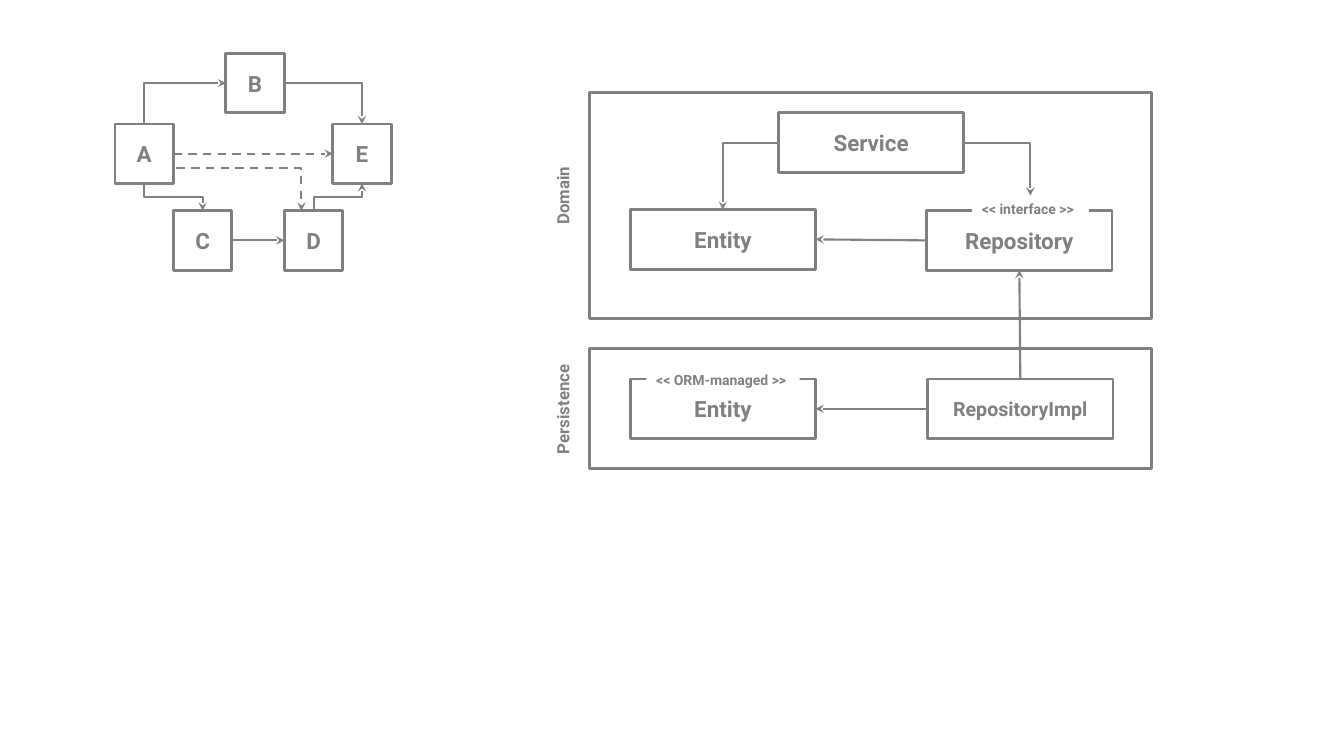
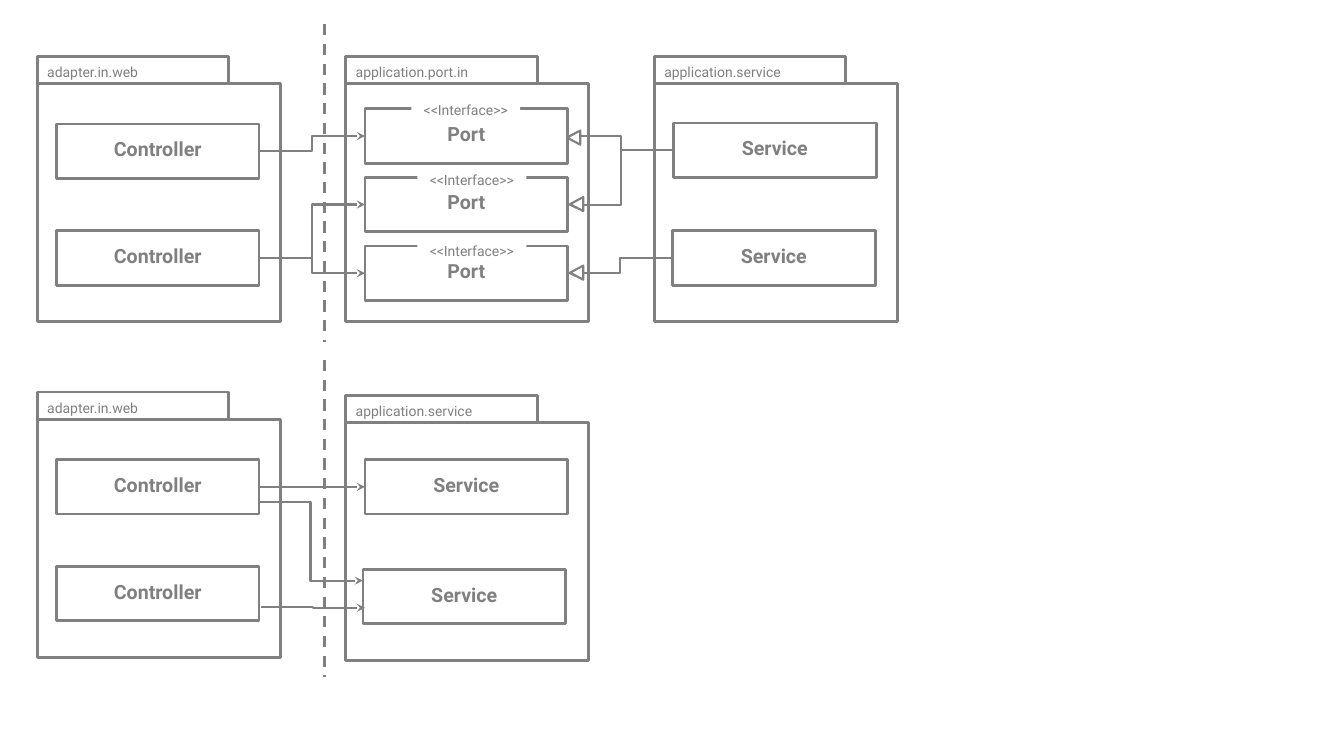
from dataclasses import dataclass

from lxml import etree
from pptx import Presentation
from pptx.dml.color import RGBColor
from pptx.enum.dml import MSO_LINE
from pptx.enum.shapes import MSO_CONNECTOR, MSO_SHAPE
from pptx.enum.text import MSO_ANCHOR, PP_ALIGN
from pptx.oxml.ns import qn
from pptx.util import Emu, Inches, Pt

RECT, TRIANGLE = MSO_SHAPE.RECTANGLE, MSO_SHAPE.ISOSCELES_TRIANGLE
STRAIGHT, ELBOW = MSO_CONNECTOR.STRAIGHT, MSO_CONNECTOR.ELBOW
DASH = MSO_LINE.DASH
LEFT_ALIGN, CENTER, MIDDLE = PP_ALIGN.LEFT, PP_ALIGN.CENTER, MSO_ANCHOR.MIDDLE
TOP, LEFT, BOTTOM, RIGHT = range(4)  # connection sites of a rectangle

# Routes of a link: the directions it runs in, one after another
LINE, HV, VH, HVH, VHV = "line", "hv", "vh", "hvh", "vhv"
PRESETS = {HV: "bentConnector2", VH: "bentConnector2",
           HVH: "bentConnector3", VHV: "bentConnector3"}
QUARTER_TURN = "5400000"

CELL = Inches(0.1)  # all positions and sizes count cells of this grid


@dataclass(frozen=True)
class Theme:
    ink: RGBColor = RGBColor(0x80, 0x80, 0x80)
    paper: RGBColor = RGBColor(0xFF, 0xFF, 0xFF)
    font: str = "Roboto"
    large: int = 16
    medium: int = 14
    side: int = 12
    small: int = 10
    frame: float = 2
    link: float = 1.5


THEME = Theme()


@dataclass(frozen=True)
class Area:
    x: float
    y: float
    w: float
    h: float


@dataclass(frozen=True)
class Caption:
    text: str
    size: int
    bold: bool = True
    align: PP_ALIGN = CENTER
    left: float = 0  # insets in cells
    top: float = 0
    bottom: float = 0


@dataclass(frozen=True)
class Member:
    key: str
    label: str
    dx: float
    dy: float


@dataclass(frozen=True)
class Package:
    title: str
    x: float
    y: float
    members: tuple[Member, ...]


End = tuple[str, int] | tuple[float, float]  # a side of a box, or a free point


@dataclass(frozen=True)
class Link:
    start: End
    end: End
    route: str = LINE
    dashed: bool = False
    arrow: bool = True
    width: float = THEME.link


def cells(count: float) -> Emu:
    return Emu(round(count * CELL))


def write(shape, caption: Caption) -> None:
    frame = shape.text_frame
    frame.word_wrap = True
    frame.vertical_anchor = MIDDLE
    frame.margin_left, frame.margin_right = cells(caption.left), 0
    frame.margin_top, frame.margin_bottom = cells(caption.top), cells(caption.bottom)
    paragraph = frame.paragraphs[0]
    paragraph.text = caption.text
    paragraph.alignment = caption.align
    font = paragraph.font
    font.name, font.size, font.bold = THEME.font, Pt(caption.size), caption.bold
    font.color.rgb = THEME.ink


def draw_shape(slide, area: Area, caption: Caption | None = None, kind=RECT,
               line: float = THEME.frame, filled: bool = False, turn: float = 0):
    shape = slide.shapes.add_shape(
        kind, cells(area.x), cells(area.y), cells(area.w), cells(area.h))
    shape.shadow.inherit = False
    shape.rotation = turn
    if filled:
        shape.fill.solid()
        shape.fill.fore_color.rgb = THEME.paper
    else:
        shape.fill.background()
    if line:
        shape.line.color.rgb = THEME.ink
        shape.line.width = Pt(line)
    else:
        shape.line.fill.background()
    if caption:
        write(shape, caption)
    return shape


def locate(end: End, boxes: dict) -> tuple[int, int]:
    if not isinstance(end[0], str):
        return cells(end[0]), cells(end[1])
    box, side = boxes[end[0]], end[1]
    across = {LEFT: 0, RIGHT: box.width}.get(side, box.width // 2)
    down = {TOP: 0, BOTTOM: box.height}.get(side, box.height // 2)
    return box.left + across, box.top + down


def start_vertically(connector, dx: int, dy: int) -> None:
    """Turn the connector by 90 degrees, so that its first leg is vertical."""
    mid_x = connector.left + connector.width // 2
    mid_y = connector.top + connector.height // 2
    connector.width, connector.height = Emu(abs(dy)), Emu(abs(dx))
    connector.left = Emu(mid_x - abs(dy) // 2)
    connector.top = Emu(mid_y - abs(dx) // 2)
    xfrm = connector._element.spPr.find(qn("a:xfrm"))
    xfrm.set("rot", QUARTER_TURN)
    xfrm.set("flipH", str(int(dy < 0)))
    xfrm.set("flipV", str(int(dx > 0)))


def draw_link(slide, link: Link, boxes: dict) -> None:
    (x1, y1), (x2, y2) = locate(link.start, boxes), locate(link.end, boxes)
    kind = STRAIGHT if link.route == LINE else ELBOW
    connector = slide.shapes.add_connector(kind, x1, y1, x2, y2)
    for end, attach in ((link.start, connector.begin_connect),
                        (link.end, connector.end_connect)):
        if isinstance(end[0], str):
            attach(boxes[end[0]], end[1])
    properties = connector._element.spPr
    if link.route in PRESETS:
        properties.find(qn("a:prstGeom")).set("prst", PRESETS[link.route])
    if link.route in (VH, VHV):
        start_vertically(connector, x2 - x1, y2 - y1)
    connector.line.color.rgb = THEME.ink
    connector.line.width = Pt(link.width)
    if link.dashed:
        connector.line.dash_style = DASH
    if link.arrow:
        outline = properties.find(qn("a:ln"))
        etree.SubElement(outline, qn("a:tailEnd"), type="stealth")
    etree.SubElement(properties, qn("a:effectLst"))


def draw_package(slide, package: Package) -> dict:
    """Draw a folder with its tab and members; return the members by key."""
    tab_height = 2.7
    draw_shape(slide, Area(package.x, package.y, 24.1, 23.6))
    draw_shape(slide, Area(package.x, package.y - tab_height, 19, tab_height),
               Caption(package.title, THEME.small, False, LEFT_ALIGN, left=1, top=0.4))
    return {
        member.key: draw_shape(
            slide, Area(package.x + member.dx, package.y + member.dy, 20.1, 5.4),
            Caption(member.label, THEME.medium, bottom=0.5))
        for member in package.members
    }


# Slide 1: dependency graph and layers
LETTERS = {"A": (11.4, 12.3), "B": (22.4, 5.3), "C": (17.2, 20.9),
           "D": (28.2, 20.9), "E": (33, 12.3)}
CLASSES = (
    ("service", "Service", 77.2, 11.2, THEME.large),
    ("entity", "Entity", 62.5, 20.8, THEME.large),
    ("repository", "Repository", 91.9, 20.9, THEME.large),
    ("managed", "Entity", 62.5, 37.6, THEME.large),
    ("impl", "RepositoryImpl", 92, 37.6, THEME.medium),
)
LAYERS = (("Domain", 9.2, 22.4, 19.4), ("Persistence", 34.6, 11.9, 40.6))
STEREOTYPES = (("<< interface >>", 96.4, 19.4, 11.6),
               ("<< ORM-managed >>", 64.1, 36.3, 15.2))
GRAPH_LINKS = (
    Link(("A", TOP), ("B", LEFT), VH),
    Link(("A", BOTTOM), ("C", TOP), VHV),
    Link(("D", TOP), ("E", BOTTOM), VHV),
    Link(("B", RIGHT), ("E", TOP), HV),
    Link(("C", RIGHT), ("D", LEFT)),
    Link(("A", RIGHT), ("E", LEFT), dashed=True),
    Link((17.5, 16.7), (29.9, 20.9), HV, dashed=True),
    Link(("service", LEFT), ("entity", TOP), HV),
    Link(("service", RIGHT), (102.2, 19.4), HV),
    Link(("repository", LEFT), ("entity", RIGHT)),
    Link(("impl", LEFT), ("managed", RIGHT)),
    Link(("impl", TOP), ("repository", BOTTOM)),
)

# Slide 2: packages with ports and without
CONTROLLERS = ("adapter.in.web", "Controller")
COLUMNS = (3.7, 34.3, 64.9)
UPPER, LOWER = 8.3, 41.6
PACKAGES = (
    Package("adapter.in.web", COLUMNS[0], UPPER, (
        Member("web 1", "Controller", 1.9, 4), Member("web 2", "Controller", 1.9, 14.6))),
    Package("application.port.in", COLUMNS[1], UPPER, tuple(
        Member(f"port {i + 1}", "Port", 1.9, 2.5 + 6.8 * i) for i in range(3))),
    Package("application.service", COLUMNS[2], UPPER, (
        Member("service 1", "Service", 1.9, 3.9), Member("service 2", "Service", 1.8, 14.6))),
    Package("adapter.in.web", COLUMNS[0], LOWER, (
        Member("web 3", "Controller", 1.9, 4), Member("web 4", "Controller", 1.9, 14.6))),
    Package("application.service", COLUMNS[1], LOWER + 0.3, (
        Member("service 3", "Service", 1.9, 3.7), Member("service 4", "Service", 1.7, 14.6))),
)
PACKAGE_LINKS = (
    Link(("web 1", RIGHT), ("port 1", LEFT), HVH),
    Link(("web 2", RIGHT), ("port 2", LEFT), HVH),
    Link(("web 2", RIGHT), ("port 3", LEFT), HVH),
    Link(("service 1", LEFT), ("port 1", RIGHT), HVH),
    Link(("service 1", LEFT), ("port 2", RIGHT), HVH),
    Link(("service 2", LEFT), ("port 3", RIGHT), HVH),
    Link(("web 3", RIGHT), ("service 3", LEFT)),
    Link((25.6, 49.8), (36, 57.6), HVH),
    Link((25.9, 60.2), (36.2, 60.3), HVH),
)
TRIANGLES = ((56.2, 13), (56.5, 19.6), (56.5, 26.4))
PORT_MARKS = ((40.8, 9.6), (41.4, 16.5), (41.4, 23.5))
DIVIDER_X, DIVIDER_HEIGHT, DIVIDER_TOPS = 32.2, 31.5, (2.4, 35.7)


def build_layers_slide(slide) -> None:
    for name, y, height, name_y in LAYERS:
        draw_shape(slide, Area(58.5, y, 55.7, height))
        draw_shape(slide, Area(49.75, name_y - 1.5, 12.1, 3),
                   Caption(name, THEME.side), line=0, turn=270)
    boxes = {letter: draw_shape(slide, Area(x, y, 5.8, 5.9), Caption(letter, THEME.large))
             for letter, (x, y) in LETTERS.items()}
    for key, label, x, y, size in CLASSES:
        boxes[key] = draw_shape(slide, Area(x, y, 18.4, 5.9), Caption(label, size))
    for text, x, y, width in STEREOTYPES:
        draw_shape(slide, Area(x, y, width, 2.7),
                   Caption(text, THEME.small, align=LEFT_ALIGN, left=1), line=0, filled=True)
    for link in GRAPH_LINKS:
        draw_link(slide, link, boxes)


def build_packages_slide(slide) -> None:
    boxes = {}
    for package in PACKAGES:
        boxes |= draw_package(slide, package)
    for link in PACKAGE_LINKS:
        draw_link(slide, link, boxes)
    for x, y in TRIANGLES:
        draw_shape(slide, Area(x, y, 1.4, 1.3), kind=TRIANGLE,
                   line=THEME.link, filled=True, turn=270)
    for x, y in PORT_MARKS:
        draw_shape(slide, Area(x, y, 10.8, 2.7),
                   Caption("<<Interface>>", THEME.small, False), line=0, filled=True)
    for top in DIVIDER_TOPS:
        draw_link(slide, Link((DIVIDER_X, top), (DIVIDER_X, top + DIVIDER_HEIGHT),
                              dashed=True, arrow=False, width=THEME.frame), boxes)


def main() -> None:
    deck = Presentation()
    deck.slide_width, deck.slide_height = Inches(13.33), Inches(7.5)
    blank = deck.slide_layouts[6]
    for build in (build_layers_slide, build_packages_slide):
        build(deck.slides.add_slide(blank))
    deck.save("out.pptx")


if __name__ == "__main__":
    main()
